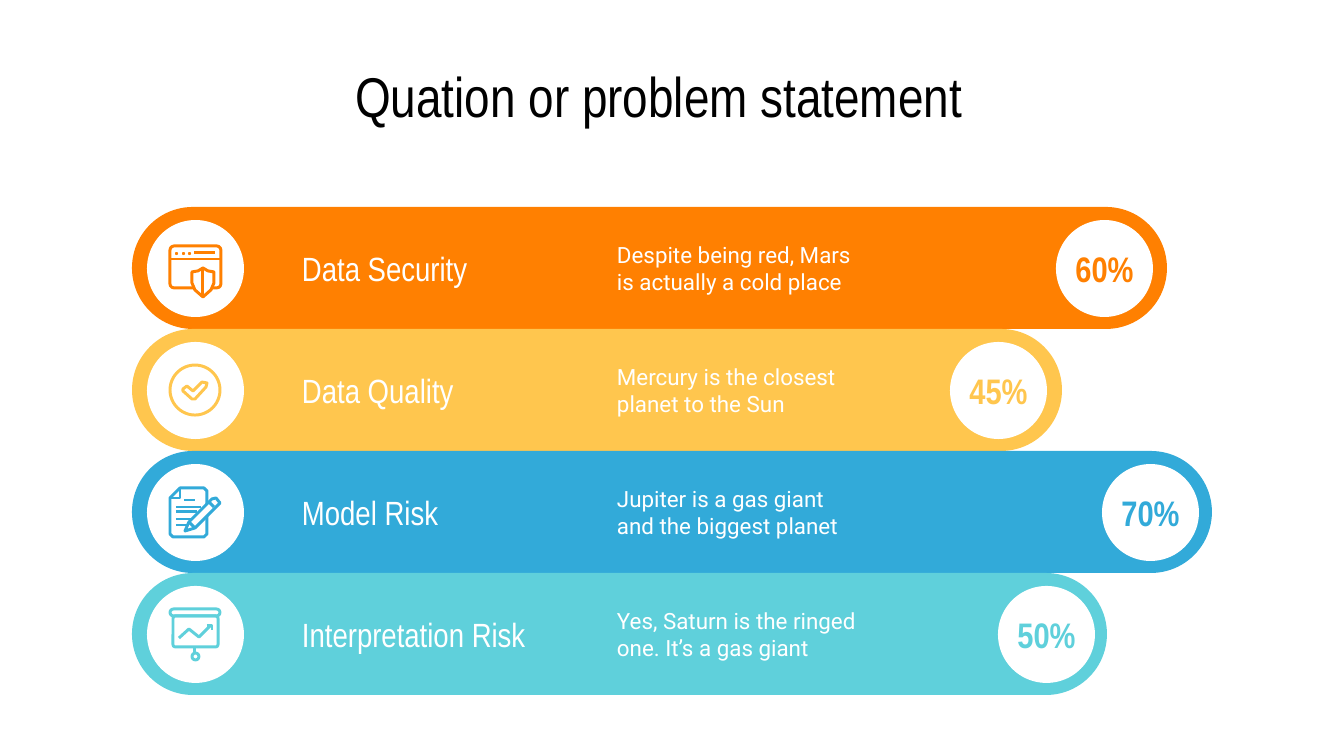
"""Build a slide of four risk bars, each with an icon, a heading, a note and a percentage."""
import pptx
import pptx.dml.color
import pptx.enum.shapes
import pptx.enum.text
import pptx.oxml.ns
import pptx.util
import lxml.etree

PX = 6804
WHITE = "FFFFFF"
STROKE = 1.6
SHAPE = pptx.enum.shapes.MSO_SHAPE
ALIGN = pptx.enum.text.PP_ALIGN
hex_color = pptx.dml.color.RGBColor.from_string


def paint(shape, fill=None, line=None):
    shape.shadow.inherit = False
    if fill:
        shape.fill.solid()
        shape.fill.fore_color.rgb = hex_color(fill)
    else:
        shape.fill.background()
    if line:
        shape.line.color.rgb = hex_color(line)
        shape.line.width = pptx.util.Pt(STROKE)
    else:
        shape.line.fill.background()


def write(box, text, font, size, color, align=ALIGN.LEFT, bold=False, inset=13):
    frame = box.text_frame
    frame.word_wrap = True
    frame.auto_size = pptx.enum.text.MSO_AUTO_SIZE.NONE
    frame.vertical_anchor = pptx.enum.text.MSO_ANCHOR.MIDDLE
    frame.margin_left = frame.margin_right = inset * PX
    frame.margin_top = frame.margin_bottom = 13 * PX
    para = frame.paragraphs[0]
    para.alignment = align
    span = para.add_run()
    span.text = text
    span.font.name = font
    span.font.size = pptx.util.Pt(size)
    span.font.bold = bold
    span.font.color.rgb = hex_color(color)


BAR_LEFT, BAR_TOP, BAR_HEIGHT = 132, 207, 122
DISC_LEFT, DISC_INSET, DISC = 147, 13, 97

security_icon = {
    "outlines": [(SHAPE.ROUNDED_RECTANGLE, 23, 26, 51, 42, 0.1)],
    "dots": [(29, 33), (36, 33), (42, 33)],
    "polygons": [[(45, 52), (51, 51), (56, 48), (61, 51), (67, 52), (67, 63),
                  (64, 70), (56, 77), (48, 70), (45, 63)]],
    "lines": [(23, 39, 74, 39), (47, 33, 68, 33), (56, 48, 56, 77)],
}
quality_icon = {
    "outlines": [(SHAPE.OVAL, 23, 23, 50, 50, None)],
    "polygons": [[(36, 47), (40, 44), (46, 49), (55, 40), (60, 41), (59, 45),
                  (48, 57), (45, 57), (36, 49)]],
}
model_icon = {
    "polygons": [
        [(33, 24), (57, 24), (60, 27), (60, 70), (57, 73), (26, 73), (23, 70), (23, 34)],
        [(38, 67), (42, 58), (65, 35), (69, 34), (73, 39), (71, 41), (48, 64)],
    ],
    "polylines": [[(33, 24), (33, 34), (23, 34)]],
    "lines": [(37, 36, 48, 36), (29, 43, 54, 43), (29, 48, 50, 48), (29, 55, 44, 55),
              (29, 61, 40, 61), (62, 38, 67, 43), (42, 58, 48, 64)],
}
interpretation_icon = {
    "outlines": [
        (SHAPE.ROUNDED_RECTANGLE, 26, 30, 45, 31, 0.08),
        (SHAPE.ROUNDED_RECTANGLE, 23, 23, 50, 7, 0.5),
        (SHAPE.OVAL, 45, 67, 7, 7, None),
    ],
    "polylines": [[(32, 52), (42, 43), (52, 51), (63, 40)], [(60, 39), (65, 39), (65, 44)]],
    "lines": [(48, 61, 48, 67)],
}
risks = [
    ("Data Security", "Despite being red, Mars is actually a cold place", "60%",
     "FF8001", 1035, 1056, security_icon),
    ("Data Quality", "Mercury is the closest planet to the Sun", "45%",
     "FFC64E", 930, 950, quality_icon),
    ("Model Risk", "Jupiter is a gas giant and the biggest planet", "70%",
     "32AAD9", 1080, 1102, model_icon),
    ("Interpretation Risk", "Yes, Saturn is the ringed one. It’s a gas giant", "50%",
     "5FD0DB", 975, 998, interpretation_icon),
]

deck = pptx.Presentation()
deck.slide_width, deck.slide_height = 1344 * PX, 756 * PX
page = deck.slides.add_slide(deck.slide_layouts[5])
shapes = page.shapes

title = shapes.title
title.left, title.top, title.width, title.height = 54 * PX, 60 * PX, 1210 * PX, 71 * PX
write(title, "Quation or problem statement", "Arial Narrow", 30, "000000", ALIGN.CENTER)

for row, (heading, note, percent, color, bar_width, badge_left, icon) in enumerate(risks):
    bar_top = BAR_TOP + row * BAR_HEIGHT
    disc_top = bar_top + DISC_INSET
    middle = bar_top + BAR_HEIGHT // 2

    bar = shapes.add_shape(SHAPE.ROUNDED_RECTANGLE, BAR_LEFT * PX, bar_top * PX,
                           bar_width * PX, BAR_HEIGHT * PX)
    bar.adjustments[0] = 0.5
    paint(bar, color)
    for disc_left in (DISC_LEFT, badge_left):
        disc = shapes.add_shape(SHAPE.OVAL, disc_left * PX, disc_top * PX, DISC * PX, DISC * PX)
        paint(disc, WHITE)

    heading_box = shapes.add_textbox(289 * PX, (middle - 43) * PX, 284 * PX, 86 * PX)
    write(heading_box, heading, "Arial Narrow", 18, WHITE)
    note_box = shapes.add_textbox(617 * PX, (middle - 45) * PX, 243 * PX, 91 * PX)
    write(note_box, note, "Roboto", 12, WHITE, inset=0)
    percent_box = shapes.add_textbox(badge_left * PX, (middle - 36) * PX, DISC * PX, 73 * PX)
    write(percent_box, percent, "Arial Narrow", 19, color, ALIGN.CENTER, bold=True)

    for kind, x, y, width, height, corner in icon.get("outlines", []):
        outline = shapes.add_shape(kind, (DISC_LEFT + x) * PX, (disc_top + y) * PX,
                                   width * PX, height * PX)
        if corner:
            outline.adjustments[0] = corner
        paint(outline, line=color)
    for x, y in icon.get("dots", []):
        dot = shapes.add_shape(SHAPE.OVAL, (DISC_LEFT + x - 1) * PX, (disc_top + y - 1) * PX,
                               3 * PX, 3 * PX)
        paint(dot, color)
    for group, closed in (("polygons", True), ("polylines", False)):
        for points in icon.get(group, []):
            corners = [(DISC_LEFT + x, disc_top + y) for x, y in points]
            builder = shapes.build_freeform(*corners[0], scale=PX)
            builder.add_line_segments(corners[1:], close=closed)
            paint(builder.convert_to_shape(), WHITE if closed else None, color)
    for x1, y1, x2, y2 in icon.get("lines", []):
        line = shapes.add_connector(
            pptx.enum.shapes.MSO_CONNECTOR.STRAIGHT,
            (DISC_LEFT + x1) * PX, (disc_top + y1) * PX,
            (DISC_LEFT + x2) * PX, (disc_top + y2) * PX)
        line.line.color.rgb = hex_color(color)
        line.line.width = pptx.util.Pt(STROKE)
        lxml.etree.SubElement(line._element.spPr, pptx.oxml.ns.qn("a:effectLst"))

deck.save("out.pptx")
